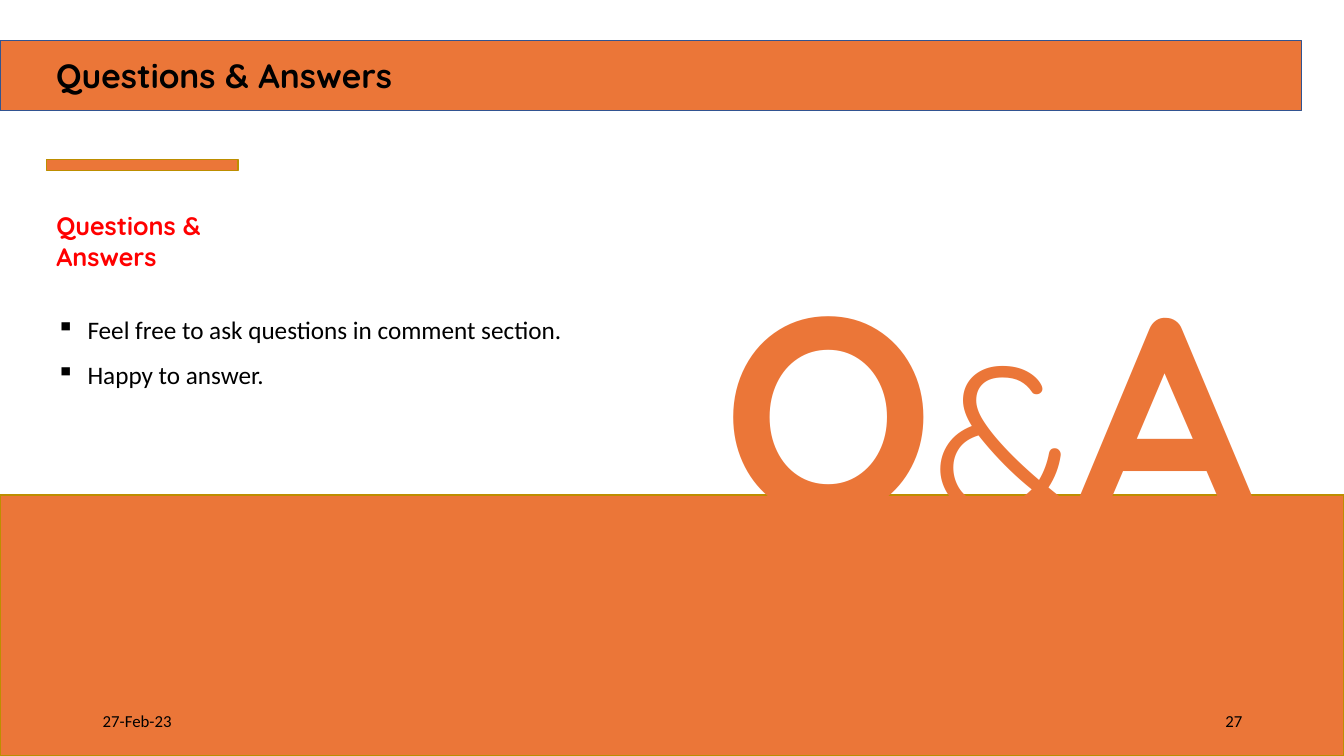
from lxml.etree import SubElement
from pptx import Presentation
from pptx.dml.color import RGBColor
from pptx.enum.shapes import MSO_SHAPE
from pptx.enum.text import MSO_ANCHOR, MSO_AUTO_SIZE, PP_ALIGN
from pptx.oxml.ns import qn
from pptx.util import Inches, Pt

ORANGE, BLACK, RED = "EB7638", "000000", "FF0000"
BLUE_EDGE, GOLD_EDGE = "325491", "BD8E00"
HEADING_FONT, BODY_FONT = "Quicksand", "Calibri"
MARGIN = 0.46


def color(value):
    return RGBColor.from_string(value)


class SlideBuilder:
    """Holds the style and the current slide."""

    def __init__(self, page):
        self.page = page

    def bar(self, left, top, width, height, edge=GOLD_EDGE):
        box = self.page.shapes.add_shape(
            MSO_SHAPE.RECTANGLE, *map(Inches, (left, top, width, height)))
        box.shadow.inherit = False
        box.fill.solid()
        box.fill.fore_color.rgb = color(ORANGE)
        box.line.color.rgb = color(edge)
        box.line.width = Pt(1)

    def text(self, place, paragraphs, font, tint, **frame_format):
        """Each paragraph is a list of (text, size, bold) spans."""
        box = self.page.shapes.add_textbox(*map(Inches, place))
        frame = box.text_frame
        settings = {"word_wrap": True,
                    "auto_size": MSO_AUTO_SIZE.SHAPE_TO_FIT_TEXT} | frame_format
        for name, value in settings.items():
            setattr(frame, name, value)
        for index, spans in enumerate(paragraphs):
            para = frame.add_paragraph() if index else frame.paragraphs[0]
            for words, size, bold in spans:
                span = para.add_run()
                span.text = words
                span.font.color.rgb = color(tint)
                for name, value in {"name": font, "size": Pt(size), "bold": bold}.items():
                    setattr(span.font, name, value)
        return frame

    def bullets(self, place, lines):
        frame = self.text(place, [[(line, 18, False)] for line in lines], BODY_FONT, BLACK)
        for para in frame.paragraphs:
            para.line_spacing = 1.5
            properties = para._p.get_or_add_pPr()
            properties.set("marL", str(Inches(0.31)))
            properties.set("indent", str(-Inches(0.31)))
            SubElement(properties, qn("a:buChar")).set("char", "▪")

    def footer(self, left, words, align):
        frame = self.text((left, 6.95, 3, 0.4), [[(words, 12, False)]], BODY_FONT, BLACK,
                          auto_size=MSO_AUTO_SIZE.NONE, vertical_anchor=MSO_ANCHOR.MIDDLE)
        frame.paragraphs[0].alignment = align


def main():
    deck = Presentation()
    deck.slide_width, deck.slide_height = Inches(13.33), Inches(7.5)
    slide = SlideBuilder(deck.slides.add_slide(deck.slide_layouts[6]))
    title = "Questions & Answers"

    # Title band
    slide.bar(0, 0.4, 12.91, 0.7, BLUE_EDGE)
    slide.text((MARGIN, 0.5, 5.03, 0.5), [[(title, 24, True)]], HEADING_FONT, BLACK)

    # Accent bar and lower panel
    slide.bar(MARGIN, 1.58, 1.9, 0.11)
    slide.bar(0, 4.91, 13.33, 2.59)

    # Large lettering
    slide.text((7.07, 2.29, 6.26, 3.47),
               [[("Q", 200, True), ("&", 150, False), ("A", 200, True)]],
               HEADING_FONT, ORANGE)

    # Body
    slide.bullets((MARGIN, 2.92, 6.52, 0.96),
                  ["Feel free to ask questions in comment section.", "Happy to answer."])

    # Footer
    slide.footer(9.42, "27", PP_ALIGN.RIGHT)
    slide.footer(0.92, "27-Feb-23", PP_ALIGN.LEFT)

    # Subheading
    slide.text((MARGIN, 2.04, 2.69, 0.41), [[(title, 18, True)]], HEADING_FONT, RED)

    deck.save("out.pptx")


if __name__ == "__main__":
    main()
